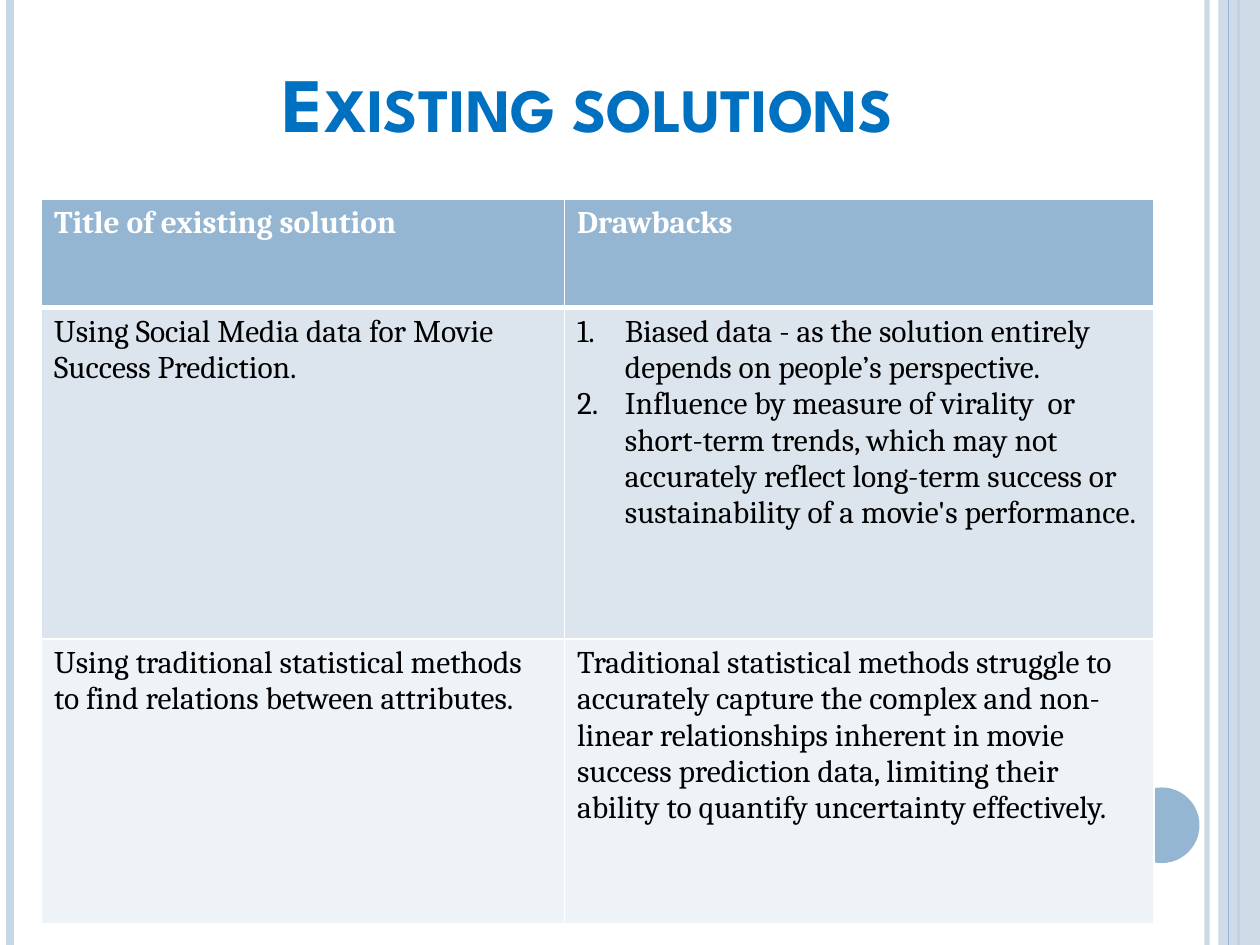
from dataclasses import dataclass

from lxml.etree import SubElement
from pptx import Presentation
from pptx.dml.color import RGBColor as RGB
from pptx.enum.shapes import MSO_CONNECTOR as Connector, MSO_SHAPE as Shape
from pptx.enum.text import MSO_ANCHOR as Anchor, PP_ALIGN as Align
from pptx.oxml.ns import qn
from pptx.util import Inches, Pt


@dataclass(frozen=True)
class Theme:
    accent: str = "94B6D2"
    pale: str = "C8D7E5"
    title: str = "0070C0"
    white: str = "FFFFFF"
    black: str = "000000"
    bands: tuple = ("DCE5EE", "EEF3F7")
    title_font: str = "League Spartan"
    body_font: str = "Cambria"
    title_size: int = 44
    body_size: int = 18


@dataclass(frozen=True)
class Stripe:
    x: float
    color: str
    width: float
    opacity: int = 100


@dataclass(frozen=True)
class Block:
    kind: int
    box: tuple
    color: str
    opacity: int = 100


@dataclass(frozen=True)
class Row:
    height: float
    solution: str
    drawbacks: tuple


THEME = Theme()
SLIDE_W, SLIDE_H = 10, 7.5
COLUMN_WIDTHS = (4.15, 4.68)
NUMBER_INDENT = Inches(0.38)

BACKDROP = (
    Stripe(9.58, THEME.pale, 3, 93),
    Stripe(0.08, THEME.pale, 4.5),
    Stripe(9.83, THEME.accent, 1.5),
    Block(Shape.RECTANGLE, (9.67, 0, 0.33, SLIDE_H), THEME.pale, 87),
    Stripe(9.75, THEME.accent, 0.75),
    Block(Shape.OVAL, (8.92, 6.25, 0.6, 0.6), THEME.accent),
)

ROWS = (
    Row(0.86, "Title of existing solution", ("Drawbacks",)),
    Row(2.63, "Using Social Media data for Movie Success Prediction.", (
        "Biased data - as the solution entirely depends on people’s perspective.",
        "Influence by measure of virality  or short-term trends, which may not accurately "
        "reflect long-term success or sustainability of a movie's performance.",
    )),
    Row(2.26, "Using traditional statistical methods to find relations between attributes.", (
        "Traditional statistical methods struggle to accurately capture the complex and "
        "non-linear relationships inherent in movie success prediction data, limiting their "
        "ability to quantify uncertainty effectively.",
    )),
)


def paint(fill, color: str, opacity: int = 100) -> None:
    fill.solid()
    fill.fore_color.rgb = RGB.from_string(color)
    if opacity < 100:
        swatch = fill._xPr.find(qn("a:solidFill"))[0]
        SubElement(swatch, qn("a:alpha"), val=str(opacity * 1000))


def style(run, color: str, **formats) -> None:
    for name, value in formats.items():
        setattr(run.font, name, value)
    run.font.color.rgb = RGB.from_string(color)


def draw_stripe(shapes, stripe: Stripe) -> None:
    x = Inches(stripe.x)
    line = shapes.add_connector(Connector.STRAIGHT, x, 0, x, Inches(SLIDE_H))
    line.line.width = Pt(stripe.width)
    paint(line.line.fill, stripe.color, stripe.opacity)
    SubElement(line._element.spPr, qn("a:effectLst"))


def draw_block(shapes, block: Block) -> None:
    shape = shapes.add_shape(block.kind, *map(Inches, block.box))
    shape.shadow.inherit = False
    shape.line.fill.background()
    paint(shape.fill, block.color, block.opacity)


def draw_title(shapes, wording: str) -> None:
    frame = shapes.add_textbox(*map(Inches, (0.58, 0.17, 8.17, 1.05))).text_frame
    frame.word_wrap = True
    frame.vertical_anchor = Anchor.BOTTOM
    heading = frame.paragraphs[0]
    heading.alignment = Align.CENTER
    run = heading.add_run()
    run.text = wording
    style(run, THEME.title, name=THEME.title_font, size=Pt(THEME.title_size), bold=True)
    run.font._element.set("cap", "small")


def number(paragraph) -> None:
    properties = paragraph._p.get_or_add_pPr()
    for name, value in {"marL": NUMBER_INDENT, "indent": -NUMBER_INDENT}.items():
        properties.set(name, str(value))
    SubElement(properties, qn("a:buFont"), typeface="+mj-lt")
    SubElement(properties, qn("a:buAutoNum"), type="arabicPeriod")


def draw_borders(cell, bottom: float, top: float) -> None:
    properties = cell._tc.get_or_add_tcPr()
    widths = {"lnL": 1, "lnR": 1, "lnT": top, "lnB": bottom}
    for position, (side, width) in enumerate(widths.items()):
        border = SubElement(properties, qn(f"a:{side}"), w=str(Pt(width)))
        SubElement(SubElement(border, qn("a:solidFill")), qn("a:srgbClr"), val=THEME.white)
        properties.insert(position, border)


def fill_cell(cell, points: tuple, row_index: int) -> None:
    header = row_index == 0
    paint(cell.fill, THEME.accent if header else THEME.bands[row_index - 1])
    draw_borders(cell, bottom=3 if header else 1, top=3 if row_index == 1 else 1)
    frame = cell.text_frame
    for index, point in enumerate(points):
        paragraph = frame.add_paragraph() if index else frame.paragraphs[0]
        if len(points) > 1:
            number(paragraph)
        run = paragraph.add_run()
        run.text = point
        style(run, THEME.white if header else THEME.black,
              name=THEME.body_font, size=Pt(THEME.body_size), bold=header)


def draw_table(shapes, rows: tuple) -> None:
    height = sum(row.height for row in rows)
    table = shapes.add_table(
        len(rows), len(COLUMN_WIDTHS), Inches(0.33), Inches(1.58),
        Inches(sum(COLUMN_WIDTHS)), Inches(height)).table
    for column, width in zip(table.columns, COLUMN_WIDTHS):
        column.width = Inches(width)
    for row_index, row in enumerate(rows):
        table.rows[row_index].height = Inches(row.height)
        for column_index, points in enumerate(((row.solution,), row.drawbacks)):
            fill_cell(table.cell(row_index, column_index), points, row_index)


def main() -> None:
    deck = Presentation()
    deck.slide_width, deck.slide_height = Inches(SLIDE_W), Inches(SLIDE_H)
    slide = deck.slides.add_slide(deck.slide_layouts[6])
    paint(slide.background.fill, THEME.white)
    for part in BACKDROP:
        draw = draw_stripe if isinstance(part, Stripe) else draw_block
        draw(slide.shapes, part)
    draw_title(slide.shapes, "Existing solutions")
    draw_table(slide.shapes, ROWS)
    deck.save("out.pptx")


if __name__ == "__main__":
    main()
